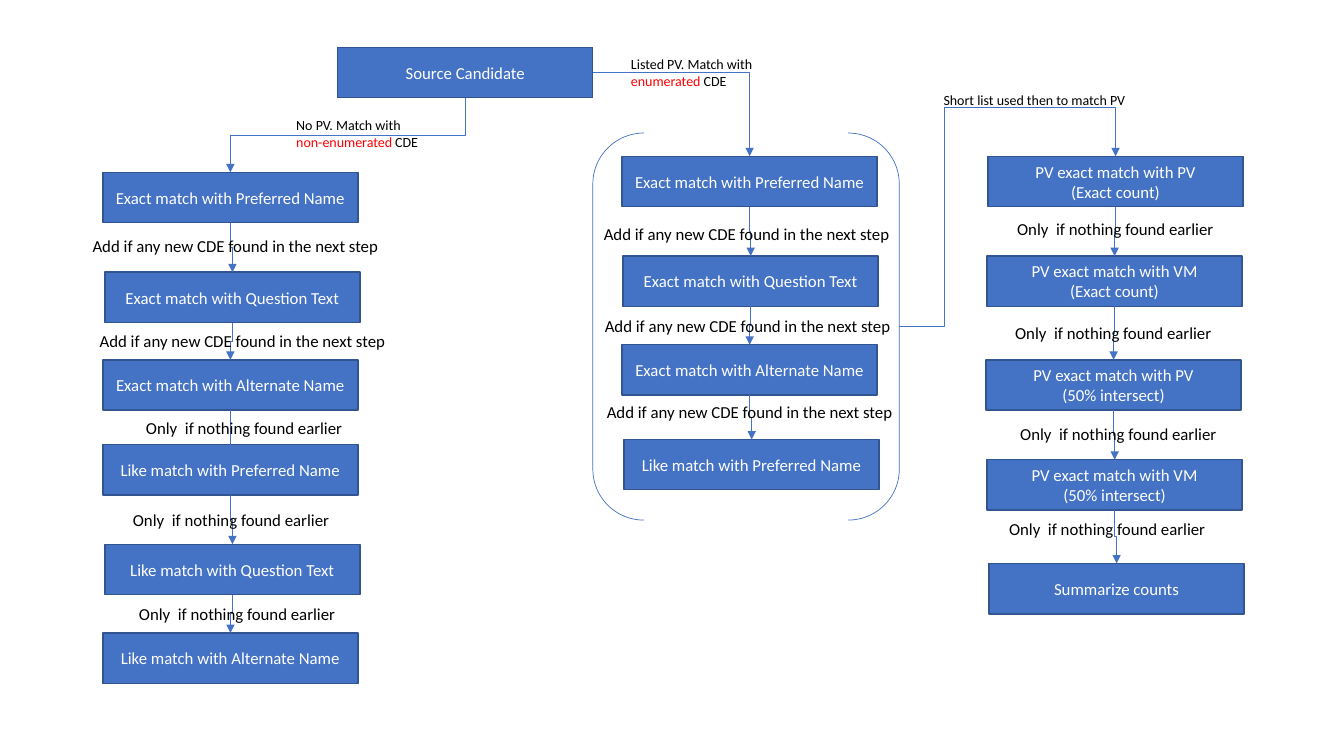
from lxml.etree import SubElement
from pptx import Presentation
from pptx.dml.color import RGBColor
from pptx.enum.shapes import MSO_CONNECTOR, MSO_SHAPE
from pptx.enum.text import MSO_ANCHOR, MSO_AUTO_SIZE, PP_ALIGN
from pptx.oxml.ns import qn
from pptx.util import Inches, Pt

COLORS = {name: RGBColor.from_string(value) for name, value in {
    "box": "4472C4", "edge": "325491", "white": "FFFFFF", "black": "000000", "red": "FF0000",
}.items()}
BOX_WIDTH, BOX_HEIGHT = 2.53, 0.5
TOP, BOTTOM, RIGHT = 0, 2, 3

deck = Presentation()
deck.slide_width, deck.slide_height = Inches(13.33), Inches(7.5)
slide = deck.slides.add_slide(deck.slide_layouts[6])
shapes = slide.shapes


def write(frame, paragraphs, size, align):
    """Fill a text frame with paragraphs of (text, colour) runs; a newline is a line break."""
    for number, runs in enumerate(paragraphs):
        paragraph = frame.paragraphs[0] if number == 0 else frame.add_paragraph()
        paragraph.alignment = align
        for text, color in runs:
            for index, line in enumerate(text.split("\n")):
                if index:
                    paragraph.add_line_break()
                if line:
                    run = paragraph.add_run()
                    run.text = line
                    run.font.name, run.font.size = "Calibri", Pt(size)
                    run.font.color.rgb = COLORS[color]


def join(start, end, preset="bentConnector3", adjustments=(), overshoot=0):
    """Draw an arrow to the top of end: from the bottom of start, or sideways for other presets."""
    downward = preset == "bentConnector3"
    x1 = start.left + (start.width // 2 if downward else start.width)
    y1 = start.top + (start.height if downward else start.height // 2)
    x2, y2 = end.left + end.width // 2, end.top + Inches(overshoot)
    arrow = shapes.add_connector(MSO_CONNECTOR.ELBOW, x1, y1, x2, y2)
    if not overshoot:
        arrow.begin_connect(start, BOTTOM if downward else RIGHT)
        arrow.end_connect(end, TOP)
    arrow.line.color.rgb, arrow.line.width = COLORS["box"], Pt(0.5)
    properties = arrow._element.spPr
    SubElement(properties.find(qn("a:ln")), qn("a:tailEnd"), type="triangle")
    SubElement(properties, qn("a:effectLst"))
    geometry = properties.find(qn("a:prstGeom"))
    geometry.set("prst", preset)
    for number, value in enumerate(adjustments, 1):
        SubElement(geometry.find(qn("a:avLst")), qn("a:gd"), name=f"adj{number}", fmla=f"val {value}")
    if downward:
        # A vertical elbow is a horizontal one turned about its centre
        run_x, drop = abs(x2 - x1), y2 - y1
        arrow.left, arrow.top = (x1 + x2 - drop) // 2, (y1 + y2 - run_x) // 2
        arrow.width, arrow.height = drop, run_x
        frame = properties.find(qn("a:xfrm"))
        frame.set("rot", "16200000" if x2 > x1 else "5400000")
        frame.set("flipH", "1" if x2 > x1 else "0")


# Boxes: left, top, paragraphs
flow = {
    "source": [(3.35, 0.47, ["Source Candidate"])],
    "no_pv": [
        (1.02, 1.71, ["Exact match with Preferred Name"]),
        (1.04, 2.7, ["Exact match with Question Text"]),
        (1.02, 3.57, ["Exact match with Alternate Name"]),
        (1.02, 4.41, ["Like match with Preferred Name"]),
        (1.04, 5.4, ["Like match with Question Text"]),
        (1.02, 6.28, ["Like match with Alternate Name"]),
    ],
    "listed_pv": [
        (6.17, 1.55, ["Exact match with Preferred Name"]),
        (6.18, 2.54, ["Exact match with Question Text"]),
        (6.17, 3.42, ["Exact match with Alternate Name"]),
        (6.19, 4.36, ["Like match with Preferred Name"]),
    ],
    "short_list": [
        (9.8, 1.55, ["PV exact match with PV\n(Exact count)"]),
        (9.79, 2.54, ["PV exact match with VM", "(Exact count)"]),
        (9.78, 3.57, ["PV exact match with PV\n(50% intersect)"]),
        (9.79, 4.56, ["PV exact match with VM", "(50% intersect)"]),
        (9.81, 5.59, ["Summarize counts"]),
    ],
}
steps = {}
for branch, entries in flow.items():
    steps[branch] = []
    for left, top, lines in entries:
        step = shapes.add_shape(MSO_SHAPE.RECTANGLE, Inches(left), Inches(top),
                                Inches(BOX_WIDTH), Inches(BOX_HEIGHT))
        step.shadow.inherit = False
        step.fill.solid()
        step.fill.fore_color.rgb = COLORS["box"]
        step.line.color.rgb, step.line.width = COLORS["edge"], Pt(1)
        step.text_frame.word_wrap = True
        step.text_frame.vertical_anchor = MSO_ANCHOR.MIDDLE
        write(step.text_frame, [[(line, "white")] for line in lines], 12, PP_ALIGN.CENTER)
        steps[branch].append(step)

enumerated_group = shapes.add_shape(MSO_SHAPE.DOUBLE_BRACKET, Inches(5.88), Inches(1.32),
                                    Inches(3.04), Inches(3.84))
enumerated_group.shadow.inherit = False
enumerated_group.fill.background()
enumerated_group.line.color.rgb, enumerated_group.line.width = COLORS["box"], Pt(0.5)

# Arrows down each branch; the one into the fourth left box ends inside it
for branch, column in steps.items():
    for number, (upper, lower) in enumerate(zip(column, column[1:])):
        join(upper, lower, overshoot=0.15 if (branch, number) == ("no_pv", 2) else 0)

# Arrows between branches
source = steps["source"][0]
join(source, steps["no_pv"][0])
join(source, steps["listed_pv"][0], "bentConnector2")
join(enumerated_group, steps["short_list"][0], "bentConnector4", (20600, 128400))

# Notes: left, top, width, height, size, runs
notes = [
    (2.84, 1.11, 1.43, 0.44, 10,
     [("No PV. Match with \n", "black"), ("non-enumerated", "red"), (" CDE", "black")]),
    (6.16, 0.5, 1.47, 0.44, 10,
     [("Listed PV. Match with \n", "black"), ("enumerated ", "red"), ("CDE", "black")]),
    (9.26, 0.86, 2.03, 0.27, 10, [("Short list used then to match PV", "black")]),
]
conditions = {
    ("Only  if nothing found earlier", 2.17): [
        (1.35, 4.1), (1.22, 5.01), (1.28, 5.94),
        (9.99, 2.12), (9.97, 3.15), (10.02, 4.15), (9.91, 5.1)],
    ("Add if any new CDE found in the next step ", 3.1): [
        (0.82, 2.29), (0.89, 3.23), (5.89, 2.17), (5.9, 3.08), (5.92, 3.94)],
}
for (condition, width), places in conditions.items():
    notes += [(left, top, width, 0.3, 12, [(condition, "black")]) for left, top in places]

for left, top, width, height, size, runs in notes:
    note = shapes.add_textbox(Inches(left), Inches(top), Inches(width), Inches(height))
    note.text_frame.word_wrap = False
    note.text_frame.auto_size = MSO_AUTO_SIZE.SHAPE_TO_FIT_TEXT
    write(note.text_frame, [runs], size, PP_ALIGN.LEFT)

deck.save("out.pptx")
